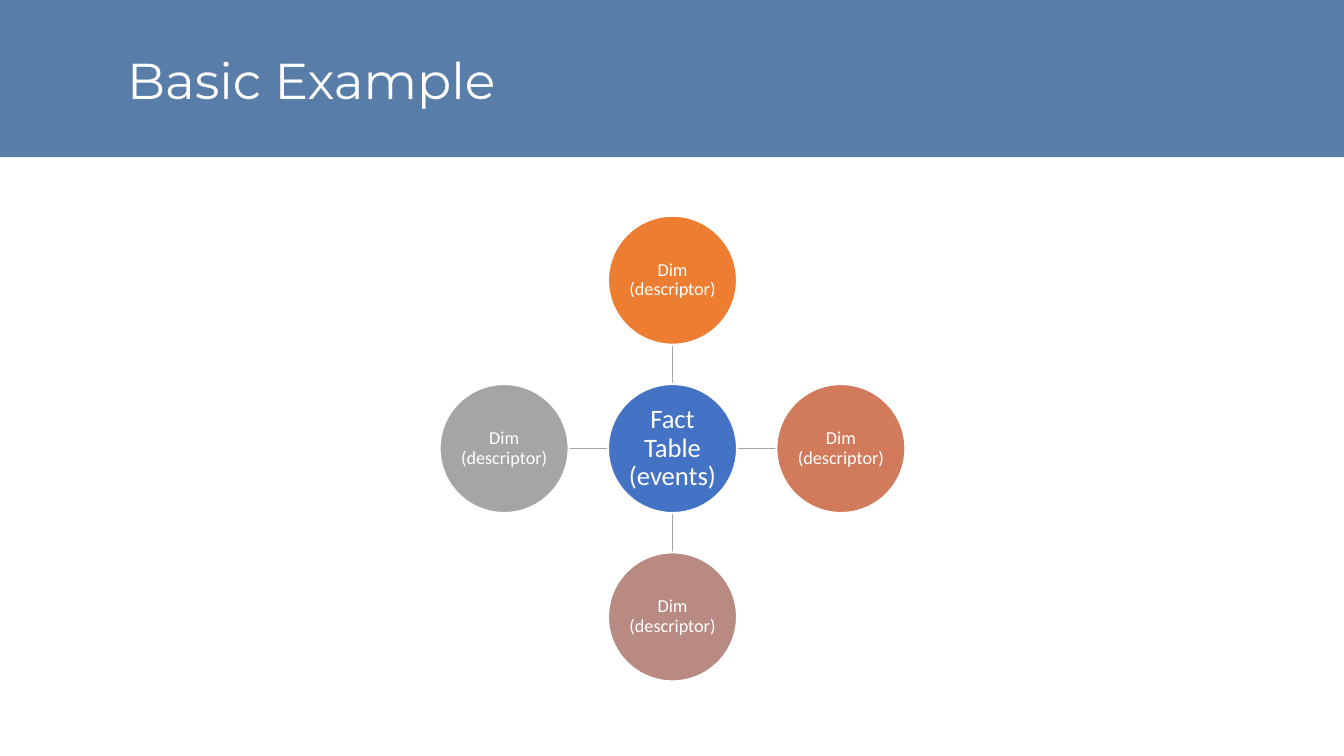
"""Builds a star-schema slide: one fact table ringed by four dimensions."""
from dataclasses import dataclass

from lxml import etree
from pptx import Presentation
from pptx import util as u
from pptx.dml.color import RGBColor
from pptx.enum import shapes, text
from pptx.oxml.ns import qn

PX = 9144
COLORS = {
    "band": "316094", "white": "FFFFFF", "spoke": "A5A5A5", "fact": "4472C4",
    "top": "ED7D31", "right": "D17B5C", "bottom": "B98A82", "left": "A5A5A5",
}
CENTER_X, CENTER_Y = 667, 445
RADIUS = 64
ORBIT = 167


@dataclass(frozen=True)
class Table:
    label: str
    color: str
    size: int
    dx: int = 0
    dy: int = 0


FACT = Table("Fact Table (events)", "fact", 19)
DIMENSIONS = [
    Table("Dim (descriptor)", color, 13, dx, dy)
    for color, dx, dy in (("top", 0, -1), ("right", 1, 0), ("bottom", 0, 1), ("left", -1, 0))
]


def px(length: int) -> u.Emu:
    return u.Emu(length * PX)


def rgb(name: str) -> RGBColor:
    return RGBColor.from_string(COLORS[name])


def apply(target, values: dict) -> None:
    for key, value in values.items():
        setattr(target, key, value)


def write(frame, label: str, font: str, size: int, frame_format: dict, line_format: dict) -> None:
    apply(frame, {"word_wrap": True, "auto_size": text.MSO_AUTO_SIZE.NONE, **frame_format})
    line = frame.paragraphs[0]
    apply(line, line_format)
    run = line.add_run()
    run.text = label
    apply(run.font, {"name": font, "size": u.Pt(size)})
    run.font.color.rgb = rgb("white")


def draw_header(slide, width: int) -> None:
    band = slide.shapes.add_shape(shapes.MSO_SHAPE.RECTANGLE, 0, 0, px(width), px(156))
    band.shadow.inherit = False
    band.line.fill.background()
    band.fill.solid()
    band.fill.fore_color.rgb = rgb("band")
    tint = band.element.spPr.find(qn("a:solidFill"))[0]
    etree.SubElement(tint, qn("a:alpha"), val="81000")
    title = slide.shapes.title
    title.element.addprevious(band.element)
    apply(title, {"left": px(116), "top": px(32), "width": px(762), "height": px(82)})
    write(title.text_frame, "Basic Example", "Montserrat", 36,
          {"vertical_anchor": text.MSO_ANCHOR.BOTTOM},
          {"alignment": text.PP_ALIGN.LEFT, "line_spacing": 1.5})


def draw_spoke(slide, table: Table) -> None:
    inner, outer = RADIUS, ORBIT - RADIUS
    spoke = slide.shapes.add_connector(
        shapes.MSO_CONNECTOR.STRAIGHT,
        px(CENTER_X + table.dx * inner), px(CENTER_Y + table.dy * inner),
        px(CENTER_X + table.dx * outer), px(CENTER_Y + table.dy * outer))
    spoke.line.color.rgb = rgb("spoke")
    spoke.line.width = u.Pt(1)
    etree.SubElement(spoke.element.spPr, qn("a:effectLst"))


def draw_table(slide, table: Table) -> None:
    circle = slide.shapes.add_shape(
        shapes.MSO_SHAPE.OVAL,
        px(CENTER_X + table.dx * ORBIT - RADIUS), px(CENTER_Y + table.dy * ORBIT - RADIUS),
        px(2 * RADIUS), px(2 * RADIUS))
    circle.shadow.inherit = False
    circle.fill.solid()
    circle.fill.fore_color.rgb = rgb(table.color)
    circle.line.color.rgb = rgb("white")
    circle.line.width = u.Pt(1.5)
    margins = {f"margin_{side}": px(1) for side in ("left", "top", "right", "bottom")}
    write(circle.text_frame, table.label, "Calibri", table.size,
          {"vertical_anchor": text.MSO_ANCHOR.MIDDLE, **margins},
          {"alignment": text.PP_ALIGN.CENTER, "line_spacing": 0.9})


def main() -> None:
    deck = Presentation()
    width, height = 1333, 750
    apply(deck, {"slide_width": px(width), "slide_height": px(height)})
    slide = deck.slides.add_slide(deck.slide_layouts.get_by_name("Title Only"))
    draw_header(slide, width)
    for dimension in DIMENSIONS:
        draw_spoke(slide, dimension)
    for table in (FACT, *DIMENSIONS):
        draw_table(slide, table)
    deck.save("out.pptx")


if __name__ == "__main__":
    main()
